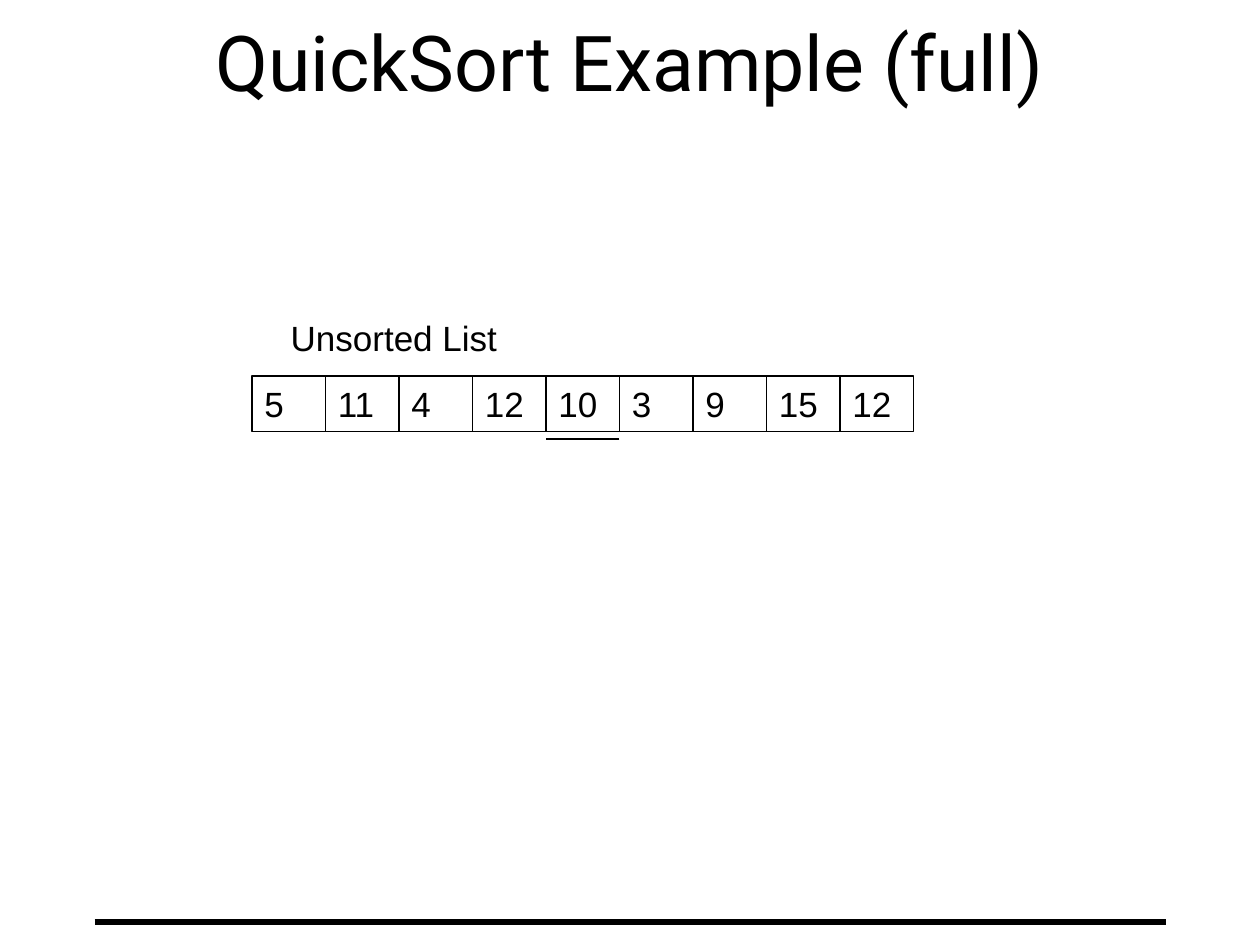
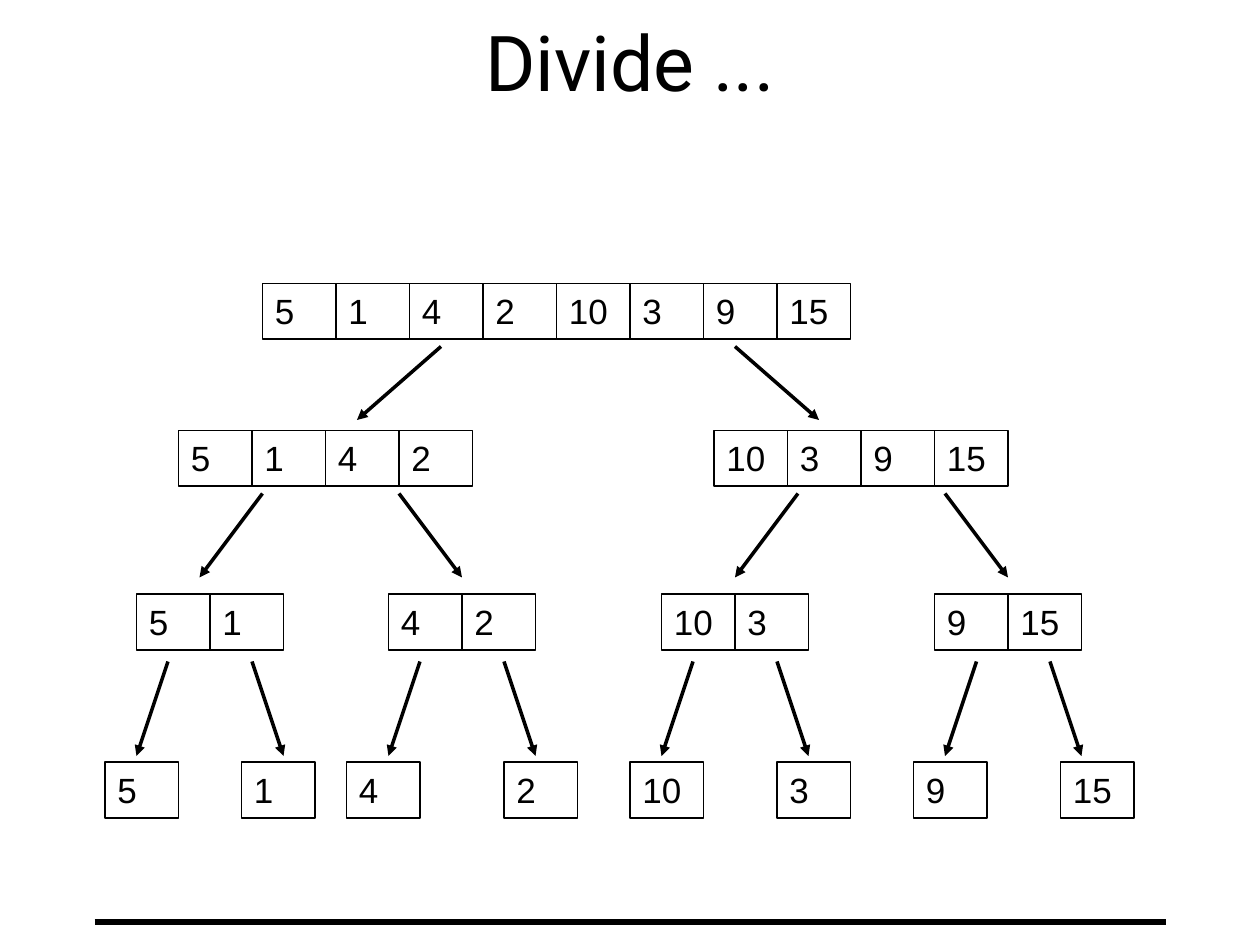
from lxml import etree
from pptx import Presentation
from pptx.dml.color import RGBColor
from pptx.enum.shapes import MSO_CONNECTOR, MSO_SHAPE
from pptx.enum.text import MSO_ANCHOR, MSO_AUTO_SIZE, PP_ALIGN
from pptx.oxml.ns import qn
from pptx.util import Pt

STRAIGHT = MSO_CONNECTOR.STRAIGHT
RECTANGLE = MSO_SHAPE.RECTANGLE
TOP, MIDDLE = MSO_ANCHOR.TOP, MSO_ANCHOR.MIDDLE
LEFT, CENTER = PP_ALIGN.LEFT, PP_ALIGN.CENTER
FIT_SHAPE, NO_FIT = MSO_AUTO_SIZE.SHAPE_TO_FIT_TEXT, MSO_AUTO_SIZE.NONE

EMU_PER_PX = 7620  # 120 px to the inch
SLIDE_W, SLIDE_H = 1200, 900
CELL_W, CELL_H = 70, 53
TITLE_ONLY = 5
COLORS = {"ink": "000000"}
FONTS = {"title": "Roboto", "body": "Arial"}

UNSORTED = [5, 11, 4, 12, 10, 3, 9, 15, 12]
PIVOT_INDEX = 4
NUMBERS = [5, 1, 4, 2, 10, 3, 9, 15]

# Each level: top of its row and the left edge of every part
LEVELS = [
    (270, [250]),
    (410, [170, 680]),
    (566, [130, 370, 630, 890]),
    (726, [100, 230, 330, 480, 600, 740, 870, 1010]),
]
# Between levels: start y, end y, sideways reach, start x (left and right in turn)
SPLITS = [
    (330, 400, 80, [420, 700]),
    (470, 550, 60, [250, 380, 760, 900]),
    (630, 720, 30, [160, 240, 400, 480, 660, 740, 930, 1000]),
]


def px(*lengths):
    return [length * EMU_PER_PX for length in lengths]


def ink(name):
    return RGBColor.from_string(COLORS[name])


def write(shape, text, *, font="body", size=20, color="ink", align=LEFT,
          anchor=TOP, wrap=True, fit=FIT_SHAPE):
    frame = shape.text_frame
    frame.text = str(text)
    frame.word_wrap = wrap
    frame.auto_size = fit
    frame.vertical_anchor = anchor
    paragraph = frame.paragraphs[0]
    paragraph.alignment = align
    paragraph.font.name = FONTS[font]
    paragraph.font.size = Pt(size)
    paragraph.font.color.rgb = ink(color)


def draw_line(slide, x1, y1, x2, y2, width, arrow=False):
    line = slide.shapes.add_connector(STRAIGHT, *px(x1, y1, x2, y2))
    line.line.color.rgb = ink("ink")
    line.line.width = Pt(width)
    if arrow:
        etree.SubElement(line.line._get_or_add_ln(), qn("a:tailEnd"), type="triangle")
    etree.SubElement(line.element.spPr, qn("a:effectLst"))
    return line


def draw_list(slide, left, top, values):
    """Draw a row of adjoining cells, one for each value."""
    for i, value in enumerate(values):
        cell = slide.shapes.add_shape(
            RECTANGLE, *px(left + i * CELL_W, top, CELL_W, CELL_H))
        cell.shadow.inherit = False
        cell.fill.background()
        cell.line.color.rgb = ink("ink")
        cell.line.width = Pt(1)
        write(cell, value)


def start_slide(prs, heading):
    slide = prs.slides.add_slide(prs.slide_layouts[TITLE_ONLY])
    title = slide.shapes.title
    title.left, title.top, title.width, title.height = px(90, 0, 1020, 115)
    write(title, heading, font="title", size=44, align=CENTER, anchor=MIDDLE,
          fit=NO_FIT)
    return slide


def add_footer_rule(prs, slide):
    """Draw the rule, then move it to the master that all slides share."""
    rule = draw_line(slide, 90, 878, 1110, 878, 3).element
    rule.nvCxnSpPr.cNvPr.id = 20
    prs.slide_master.element.cSld.spTree.append(rule)


def build_unsorted(prs):
    slide = start_slide(prs, "QuickSort Example (full)")
    add_footer_rule(prs, slide)
    caption = slide.shapes.add_textbox(*px(265, 296, 221, 53))
    write(caption, "Unsorted List", wrap=False)
    list_left = 240
    draw_list(slide, list_left, 358, UNSORTED)
    # Pivot underline
    pivot_left = list_left + PIVOT_INDEX * CELL_W
    draw_line(slide, pivot_left + CELL_W, 418, pivot_left, 418, 1)


def build_divide(prs):
    slide = start_slide(prs, "Divide ...")
    # Every level halves the parts of the level above
    for top, lefts in LEVELS:
        part_size = len(NUMBERS) // len(lefts)
        for i, left in enumerate(lefts):
            draw_list(slide, left, top, NUMBERS[i * part_size:(i + 1) * part_size])
    # Arrows from each part to its halves
    for start_y, end_y, reach, starts in SPLITS:
        for i, start_x in enumerate(starts):
            end_x = start_x + (reach if i % 2 else -reach)
            draw_line(slide, start_x, start_y, end_x, end_y, 2, arrow=True)


def main():
    prs = Presentation()
    prs.slide_width, prs.slide_height = px(SLIDE_W, SLIDE_H)
    build_unsorted(prs)
    build_divide(prs)
    prs.save("out.pptx")


if __name__ == "__main__":
    main()
